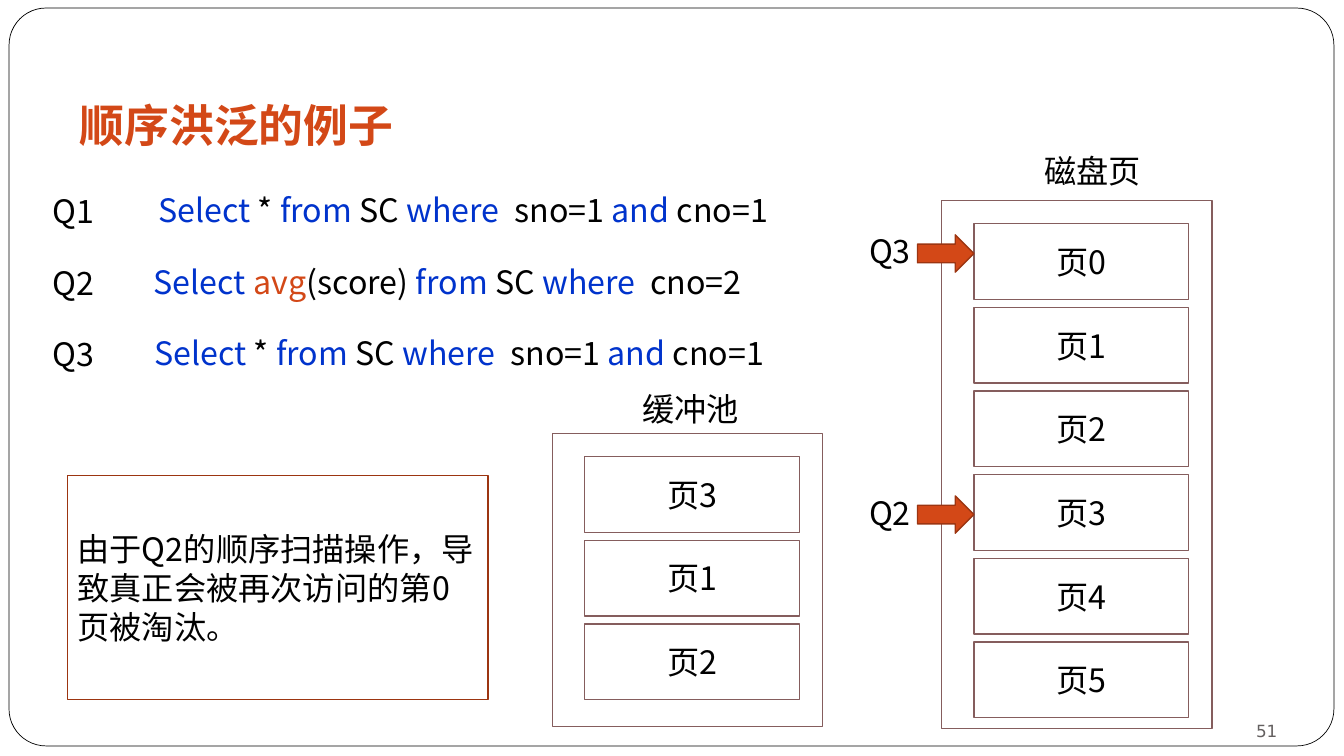
from lxml.etree import SubElement
from pptx import Presentation
from pptx.dml.color import RGBColor
from pptx.enum.shapes import MSO_SHAPE
from pptx.enum.text import MSO_ANCHOR, PP_ALIGN
from pptx.oxml.ns import qn
from pptx.util import Inches, Pt

FONT = "Noto Sans CJK SC"
BLACK, WHITE, BLUE = "000000", "FFFFFF", "0033CC"
RED, RUST, MAUVE, GREY = "D34817", "9C3511", "855D5D", "646060"
HUES = {"Select": BLUE, "from": BLUE, "where": BLUE, "and": BLUE, "avg": RED}


def paint(color, value):
    """Set a colour format from a hex string."""
    color.rgb = RGBColor.from_string(value)


def write(shape, text, size=23, hue=BLACK, hues=None, font=FONT, bold=False,
          align=PP_ALIGN.LEFT, anchor=MSO_ANCHOR.TOP, wrap=True,
          insets=(0.1, 0.05, 0.1, 0.05)):
    """Write text into a shape; bars part runs whose colours come from hues."""
    frame = shape.text_frame
    frame.word_wrap = wrap
    frame.vertical_anchor = anchor
    left, top, right, bottom = insets
    frame.margin_left, frame.margin_top = Inches(left), Inches(top)
    frame.margin_right, frame.margin_bottom = Inches(right), Inches(bottom)
    para = frame.paragraphs[0]
    para.alignment = align
    for part in text.split("|"):
        run = para.add_run()
        run.text = part
        run.font.size, run.font.bold, run.font.name = Pt(size), bold, font
        paint(run.font.color, (hues or {}).get(part.strip(), hue))
        SubElement(run._r.get_or_add_rPr(), qn("a:ea"), typeface=font)


def label(shapes, text, left, top, width, height=0.49, **style):
    """Add a text box."""
    box = shapes.add_textbox(Inches(left), Inches(top), Inches(width), Inches(height))
    write(box, text, **style)


def block(shapes, kind, left, top, width, height, fill=WHITE, line=MAUVE, weight=1):
    """Add a preset shape with a plain fill and outline."""
    shape = shapes.add_shape(kind, Inches(left), Inches(top), Inches(width), Inches(height))
    shape.shadow.inherit = False
    if fill:
        shape.fill.solid()
        paint(shape.fill.fore_color, fill)
    else:
        shape.fill.background()
    if line:
        paint(shape.line.color, line)
        shape.line.width = Pt(weight)
    else:
        shape.line.fill.background()
    return shape


def frame(shapes):
    """Draw the rounded border, the title and the page number."""
    edge = block(shapes, MSO_SHAPE.ROUNDED_RECTANGLE, 0.09, 0.08, 13.14, 7.32,
                 line=BLACK, weight=0.5)
    edge.adjustments[0] = 0.05
    label(shapes, "顺序洪泛的例子", 0.67, 0.77, 12, 0.85, size=32, hue=RED, bold=True,
          anchor=MSO_ANCHOR.BOTTOM, insets=(0.12, 0.06, 0.12, 0.12))
    label(shapes, "51", 11.56, 6.95, 1.11, 0.4, size=12, hue=GREY, font="DejaVu Sans",
          align=PP_ALIGN.RIGHT, anchor=MSO_ANCHOR.BOTTOM, insets=(0, 0, 0, 0))


def stack(shapes, pages, left, top, height):
    """Draw a container holding a column of pages."""
    block(shapes, MSO_SHAPE.FLOWCHART_PROCESS, left, top, 2.68, height)
    for row, page in enumerate(pages):
        cell = block(shapes, MSO_SHAPE.FLOWCHART_PROCESS,
                     left + 0.32, top + 0.23 + row * 0.83, 2.13, 0.75)
        write(cell, f"页{page}", align=PP_ALIGN.CENTER, anchor=MSO_ANCHOR.MIDDLE)


def cursor(shapes, name, left, top):
    """Draw a query name with an arrow to the page it reads."""
    block(shapes, MSO_SHAPE.RIGHT_ARROW, left + 0.48, top + 0.08, 0.56, 0.37,
          fill=RED, line=RUST)
    label(shapes, name, left, top, 0.56, insets=(0, 0.05, 0, 0.05))


def query(shapes, name, text, top, left, width):
    """Draw one query row: its name and its coloured statement."""
    label(shapes, name, 0.37, top, 0.57, align=PP_ALIGN.RIGHT,
          insets=(0, 0.05, 0, 0.05))
    code = block(shapes, MSO_SHAPE.RECTANGLE, left, top - 0.01, width, 0.49, line=None)
    write(code, text, hues=HUES, align=PP_ALIGN.CENTER)


def note(shapes, left, top, width, height):
    """Draw the boxed conclusion."""
    box = block(shapes, MSO_SHAPE.FLOWCHART_PROCESS, left, top, width, height,
                fill=None, line=RUST)
    write(box, "由于Q2的顺序扫描操作，导致真正会被再次访问的第0页被淘汰。",
          anchor=MSO_ANCHOR.MIDDLE)


def main():
    """Build and save the slide."""
    deck = Presentation()
    deck.slide_width, deck.slide_height = Inches(13.33), Inches(7.5)
    shapes = deck.slides.add_slide(deck.slide_layouts[6]).shapes
    frame(shapes)
    stack(shapes, range(6), 9.34, 1.99, 5.24)
    label(shapes, "磁盘页", 10.26, 1.45, 1.17, wrap=False)
    stack(shapes.add_group_shape().shapes, (3, 1, 2), 5.48, 4.3, 2.91)
    label(shapes, "缓冲池", 6.27, 3.81, 1.17, wrap=False)
    cursor(shapes, "Q3", 8.62, 2.25)
    cursor(shapes, "Q2", 8.62, 4.84)
    note(shapes, 0.67, 4.72, 4.17, 2.22)
    lookup = "Select |* |from |SC |where  |sno=1 |and |cno=1"
    mean = "Select |avg|(score) |from |SC |where  |cno=2"
    rows = ((lookup, 1.11, 6.97), (mean, 1.14, 6.6), (lookup, 1.07, 6.97))
    for row, (text, left, width) in enumerate(rows):
        query(shapes, f"Q{row + 1}", text, 1.85 + row * 0.71, left, width)
    deck.save("out.pptx")


if __name__ == "__main__":
    main()
